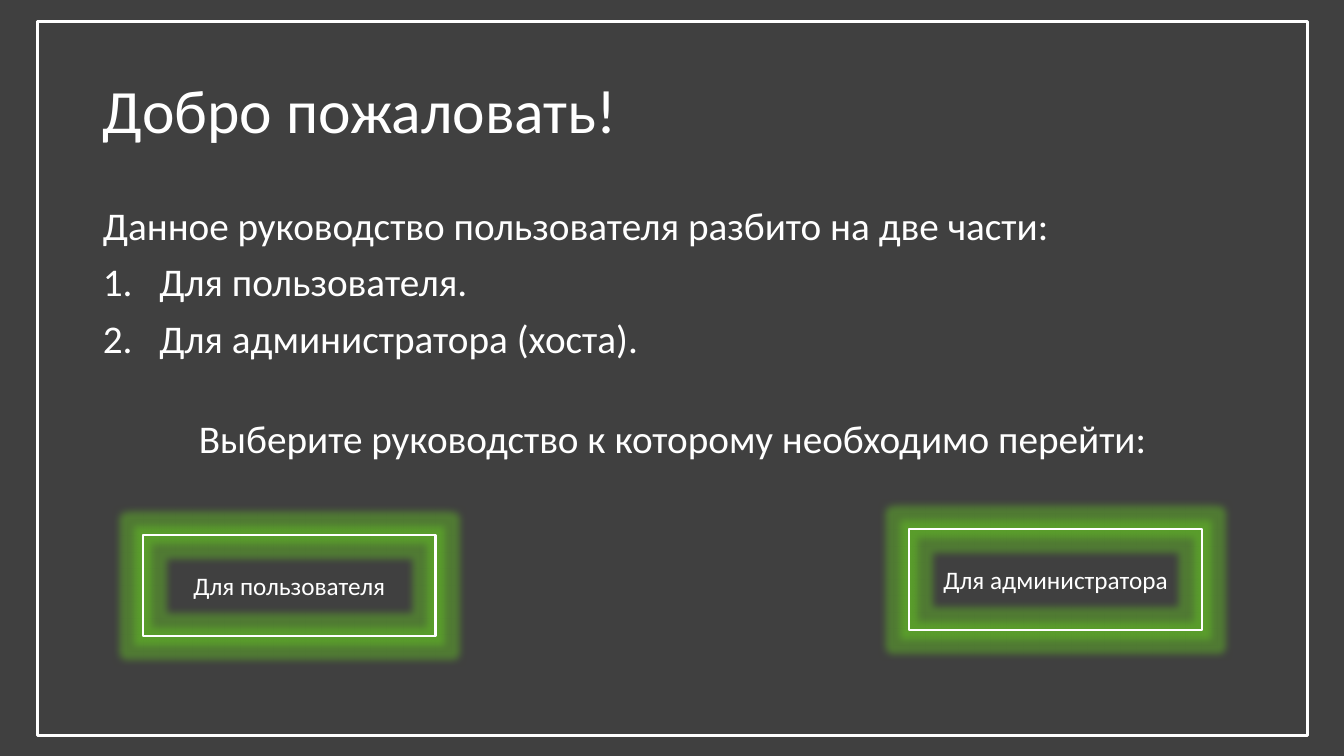
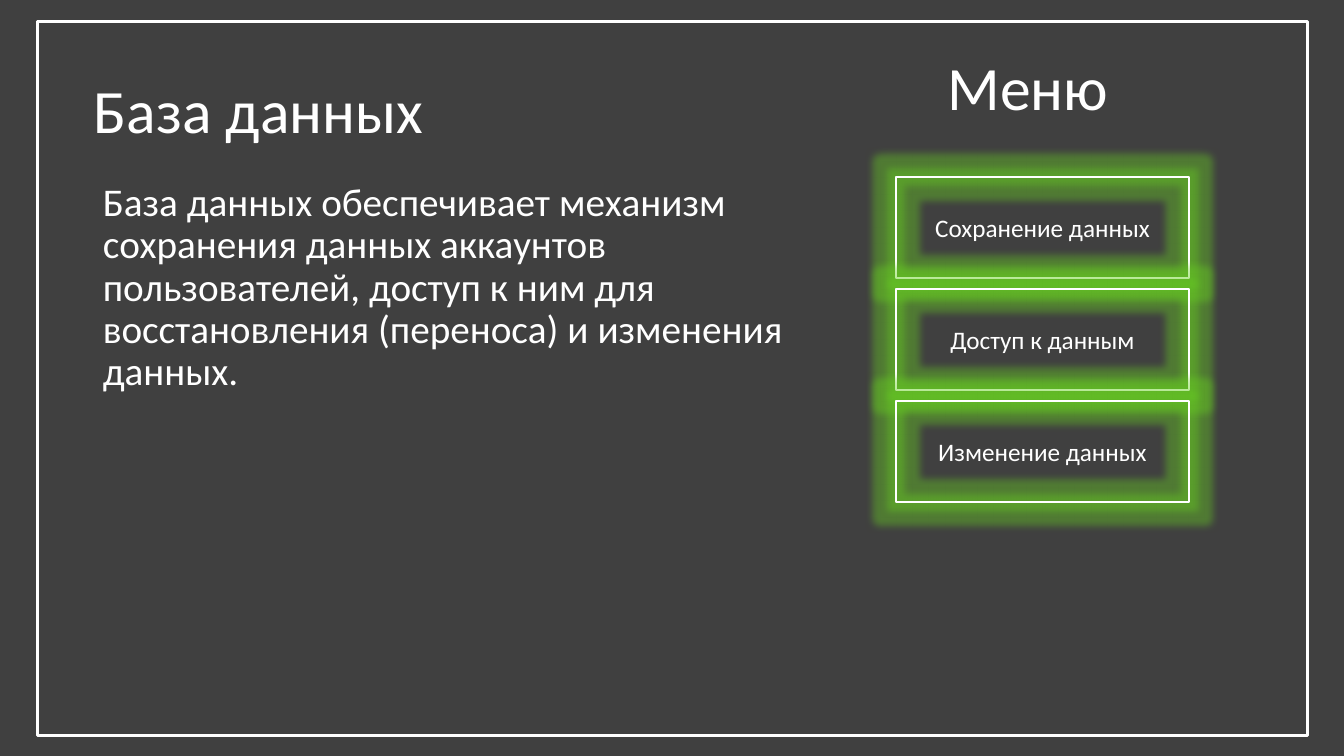
from lxml import etree
from pptx import Presentation
from pptx import util as u
from pptx.dml.color import RGBColor
from pptx.enum import shapes, text
from pptx.oxml import ns

HUES = {"back": "404040", "ink": "FFFFFF", "glow": "69D321"}
FONT = "Calibri"
LEFT = text.PP_ALIGN.LEFT
MID = text.PP_ALIGN.CENTER


def hue(name):
    return RGBColor.from_string(HUES[name])


def node(top, tag, **attrs):
    return etree.SubElement(top, ns.qn(tag), attrs)


class Deck:
    def __init__(self):
        self.prs = Presentation()
        self.prs.slide_width = u.Inches(13.33)
        self.prs.slide_height = u.Inches(7.5)
        fill = self.prs.slide_master.background.fill
        fill.solid()
        fill.fore_color.rgb = hue("back")
        self.slide = None

    def start(self):
        self.slide = self.prs.slides.add_slide(self.prs.slide_layouts[1])
        self.box(0.37, 0.21, 12.6, 7.09, 2.25)

    def place(self, item, x, y, w, h):
        item.left, item.top = u.Inches(x), u.Inches(y)
        item.width, item.height = u.Inches(w), u.Inches(h)

    def style(self, para, size, align=LEFT, line=0.9, gap=0):
        para.alignment = align
        para.line_spacing = line
        para.space_before = u.Pt(gap)
        for run in para.runs:
            run.font.size = u.Pt(size)
            run.font.name = FONT
            run.font.color.rgb = hue("ink")

    def letter(self, item, words, size, align=LEFT, line=0.9):
        frame = item.text_frame
        frame.text = words
        frame.word_wrap = True
        frame.auto_size = text.MSO_AUTO_SIZE.NONE
        frame.vertical_anchor = text.MSO_ANCHOR.MIDDLE
        self.style(frame.paragraphs[0], size, align, line)

    def title(self, words, x, y, w, h, align=LEFT):
        item = self.slide.shapes.title
        self.place(item, x, y, w, h)
        self.letter(item, words, 44, align)

    def body(self, lead, x, y, w, h, steps=()):
        item = self.slide.placeholders[1]
        self.place(item, x, y, w, h)
        frame = item.text_frame
        frame.text = "\n".join([lead, *steps])
        frame.auto_size = text.MSO_AUTO_SIZE.NONE
        for spot, para in enumerate(frame.paragraphs):
            self.style(para, 28, gap=10)
            props = para._p.get_or_add_pPr()
            dent = u.Inches(0.56 if spot else 0)
            props.set("marL", str(dent))
            props.set("indent", str(-dent))
            if spot:
                node(props, "a:buFont", typeface="+mj-lt")
                node(props, "a:buAutoNum", type="arabicPeriod")
            else:
                node(props, "a:buNone")

    def label(self, words, x, y, w, h, size, align=LEFT):
        item = self.slide.shapes.add_textbox(
            u.Inches(x), u.Inches(y), u.Inches(w), u.Inches(h))
        self.letter(item, words, size, align)

    def box(self, x, y, w, h, weight):
        item = self.slide.shapes.add_shape(
            shapes.MSO_SHAPE.RECTANGLE,
            u.Inches(x), u.Inches(y), u.Inches(w), u.Inches(h))
        item.shadow.inherit = False
        item.fill.background()
        item.line.color.rgb = hue("ink")
        item.line.width = u.Pt(weight)
        return item

    def button(self, words, x, y):
        item = self.box(x, y, 2.9, 1, 1.5)
        self.letter(item, words, 18, MID, 1.0)
        effects = item._element.spPr.find(ns.qn("a:effectLst"))
        glow = node(effects, "a:glow", rad=str(u.Pt(11)))
        tint = node(glow, "a:srgbClr", val=HUES["glow"])
        node(tint, "a:alpha", val="40000")


def welcome(deck):
    deck.start()
    deck.title("Добро пожаловать!", 0.92, 0.4, 11.5, 1.45)
    deck.body("Данное руководство пользователя разбито на две части:",
              0.92, 2, 11.5, 1.65,
              ["Для пользователя.", "Для администратора (хоста)."])
    deck.label("Выберите руководство к которому необходимо перейти:",
               1.42, 3.65, 10.5, 1.45, 28, MID)
    deck.button("Для пользователя", 1.42, 5.31)
    deck.button("Для администратора", 9.02, 5.25)


def data(deck):
    deck.start()
    deck.title("База данных", 0.55, 0.4, 4.03, 1.45, MID)
    deck.body("База данных обеспечивает механизм сохранения данных аккаунтов "
              "пользователей, доступ к ним для восстановления (переноса) и "
              "изменения данных.", 0.92, 1.76, 7.05, 4.76)
    deck.label("Меню", 9.3, 0.4, 2.07, 1, 44)
    menu = ["Сохранение данных", "Доступ к данным", "Изменение данных"]
    for row, words in enumerate(menu):
        deck.button(words, 8.89, 1.76 + 1.11 * row)


def main():
    deck = Deck()
    welcome(deck)
    data(deck)
    deck.prs.save("out.pptx")


if __name__ == "__main__":
    main()
